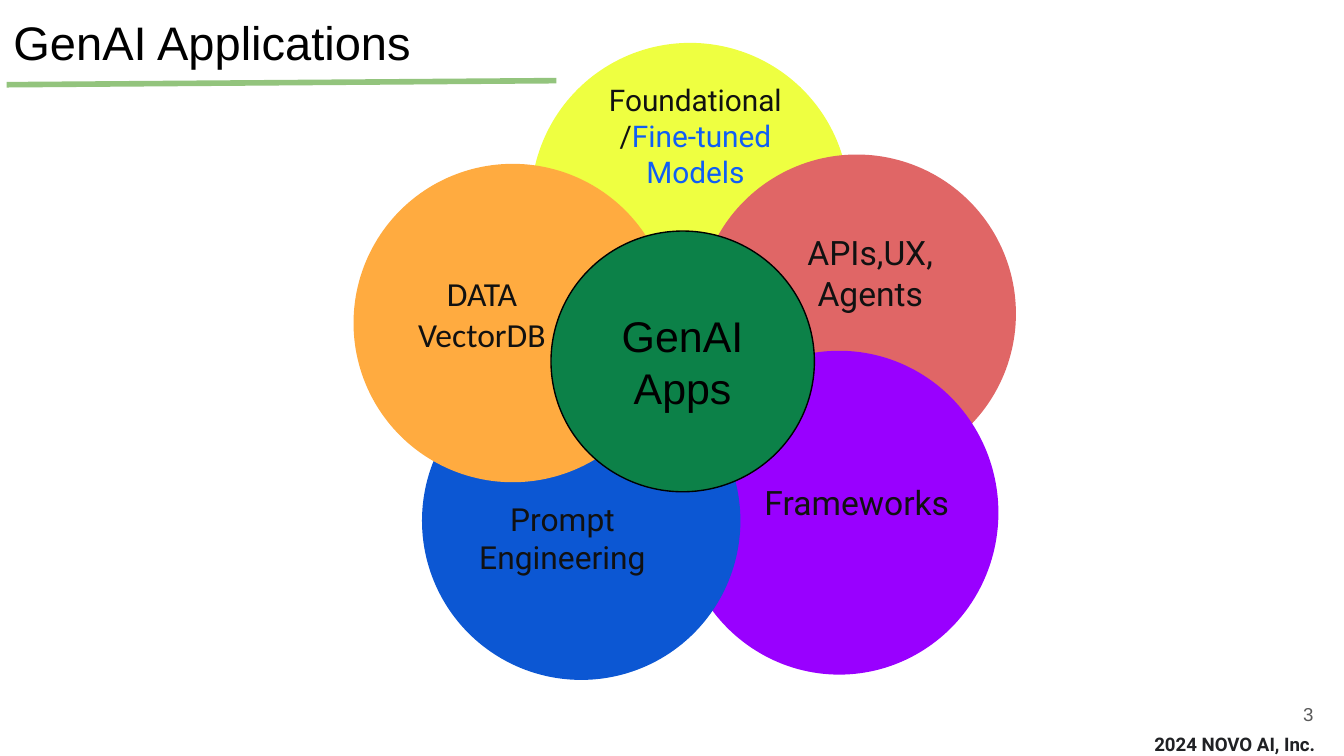
from collections import namedtuple

from lxml.etree import SubElement
from pptx import Presentation
from pptx.dml.color import RGBColor
from pptx.enum.shapes import MSO_CONNECTOR, MSO_SHAPE
from pptx.enum.text import MSO_ANCHOR, MSO_AUTO_SIZE, PP_ALIGN
from pptx.oxml.ns import qn
from pptx.util import Pt

BLACK = RGBColor(0x00, 0x00, 0x00)
INK = RGBColor(0x11, 0x11, 0x11)
FOOTER_INK = RGBColor(0x20, 0x21, 0x24)
GRAY = RGBColor(0x59, 0x59, 0x59)
ACCENT = RGBColor(0x10, 0x5E, 0xF5)
RULE_GREEN = RGBColor(0x93, 0xC4, 0x7D)
CORE_GREEN = RGBColor(0x0C, 0x81, 0x48)
YELLOW = RGBColor(0xEE, 0xFF, 0x41)
RED = RGBColor(0xE0, 0x66, 0x66)
PURPLE = RGBColor(0x99, 0x00, 0xFF)
BLUE = RGBColor(0x0C, 0x57, 0xD3)
ORANGE = RGBColor(0xFF, 0xAB, 0x40)

INSET = Pt(7.2)
PETAL_WIDTH = 170.6
ACCENT_WORDS = {"Fine-tuned", "Models"}

# Petal positions are relative to the flower, label boxes to their petal.
Petal = namedtuple("Petal", "left top height color label lines font size")
PETALS = [
    Petal(95, 0, 170.6, YELLOW, (31.7, 23.8, 113, 51.8),
          [("Foundational",), ("/", "Fine-tuned"), ("Models",)], "Roboto", 16),
    Petal(184.3, 59.8, 170.6, RED, (40.3, 37.4, 104.4, 51.8),
          [("APIs,UX,",), ("Agents",)], "Roboto", 18),
    Petal(174.9, 164.9, 173.5, PURPLE, (36, 54.7, 117.4, 52.6),
          [("Frameworks",)], "Roboto", 18),
    Petal(36.7, 170.7, 170.6, BLUE, (23, 68.4, 104.4, 51.8),
          [("Prompt Engineering",)], "Roboto", 17),
    Petal(0, 64.8, 170.6, ORANGE, (21.6, 50.4, 94.3, 59.8),
          [("DATA VectorDB",)], "Calibri", 18),
]


def write_lines(shape, lines, font, size, color, align=PP_ALIGN.CENTER,
                anchor=MSO_ANCHOR.MIDDLE, bold=False):
    """Fill a shape with paragraphs, each given as a tuple of runs."""
    frame = shape.text_frame
    frame.word_wrap = True
    frame.auto_size = MSO_AUTO_SIZE.NONE
    frame.vertical_anchor = anchor
    frame.margin_left = frame.margin_right = INSET
    frame.margin_top = frame.margin_bottom = INSET
    frame.text = "\n".join("" for _ in lines)
    for paragraph, texts in zip(frame.paragraphs, lines):
        paragraph.alignment = align
        for text in texts:
            run = paragraph.add_run()
            run.text = text
            run.font.name = font
            run.font.size = Pt(size)
            run.font.bold = bold
            run.font.color.rgb = ACCENT if text in ACCENT_WORDS else color


def add_filled_shape(shapes, kind, left, top, width, height, color):
    shape = shapes.add_shape(kind, Pt(left), Pt(top), Pt(width), Pt(height))
    shape.shadow.inherit = False
    shape.fill.solid()
    shape.fill.fore_color.rgb = color
    shape.line.fill.background()
    return shape


def add_petal(slide, left, top, petal):
    """Group a coloured circle with its label."""
    shapes = slide.shapes.add_group_shape().shapes
    add_filled_shape(shapes, MSO_SHAPE.OVAL, left, top, PETAL_WIDTH,
                     petal.height, petal.color)
    label_left, label_top, width, height = petal.label
    label = add_filled_shape(shapes, MSO_SHAPE.RECTANGLE, left + label_left,
                             top + label_top, width, height, petal.color)
    write_lines(label, petal.lines, petal.font, petal.size, INK)


def add_flower(slide, left, top):
    for petal in PETALS:
        add_petal(slide, left + petal.left, top + petal.top, petal)
    core = add_filled_shape(slide.shapes, MSO_SHAPE.OVAL, left + 105.8,
                            top + 100.8, 141.1, 139.7, CORE_GREEN)
    core.line.color.rgb = BLACK
    core.line.width = Pt(0.75)
    write_lines(core, [("GenAI Apps",)], "Arial", 23, BLACK)


def add_heading(slide, left, top, width, height):
    """Place the title and the rule under it."""
    title = slide.shapes.title
    title.left, title.top = Pt(left), Pt(top)
    title.width, title.height = Pt(width), Pt(height)
    write_lines(title, [("GenAI Applications",)], "Arial", 25.2, BLACK,
                PP_ALIGN.LEFT, MSO_ANCHOR.TOP)
    bottom = top + height
    rule = slide.shapes.add_connector(
        MSO_CONNECTOR.STRAIGHT, Pt(left + 3.6), Pt(bottom),
        Pt(left + width + 5.8), Pt(bottom - 2.2))
    rule.line.color.rgb = RULE_GREEN
    rule.line.width = Pt(3)
    SubElement(rule.element.spPr, qn("a:effectLst"))


def add_footer(slide, left, top):
    """Place the page number above the copyright line."""
    number = slide.shapes.add_textbox(Pt(left + 56.2), Pt(top), Pt(43.2), Pt(31))
    write_lines(number, [("3",)], "Arial", 10, GRAY, PP_ALIGN.RIGHT)
    owner = slide.shapes.add_textbox(Pt(left), Pt(top + 18), Pt(108.7), Pt(20.2))
    write_lines(owner, [("2024 NOVO AI, Inc.",)], "Roboto", 10, FOOTER_INK,
                PP_ALIGN.LEFT, MSO_ANCHOR.TOP, bold=True)


def main():
    presentation = Presentation()
    presentation.slide_width, presentation.slide_height = Pt(720), Pt(405)
    slide = presentation.slides.add_slide(presentation.slide_layouts[5])
    add_flower(slide, 189.4, 23)
    add_heading(slide, 0, 0, 292.3, 45.4)
    add_footer(slide, 611.3, 367.2)
    presentation.save("out.pptx")


if __name__ == "__main__":
    main()
